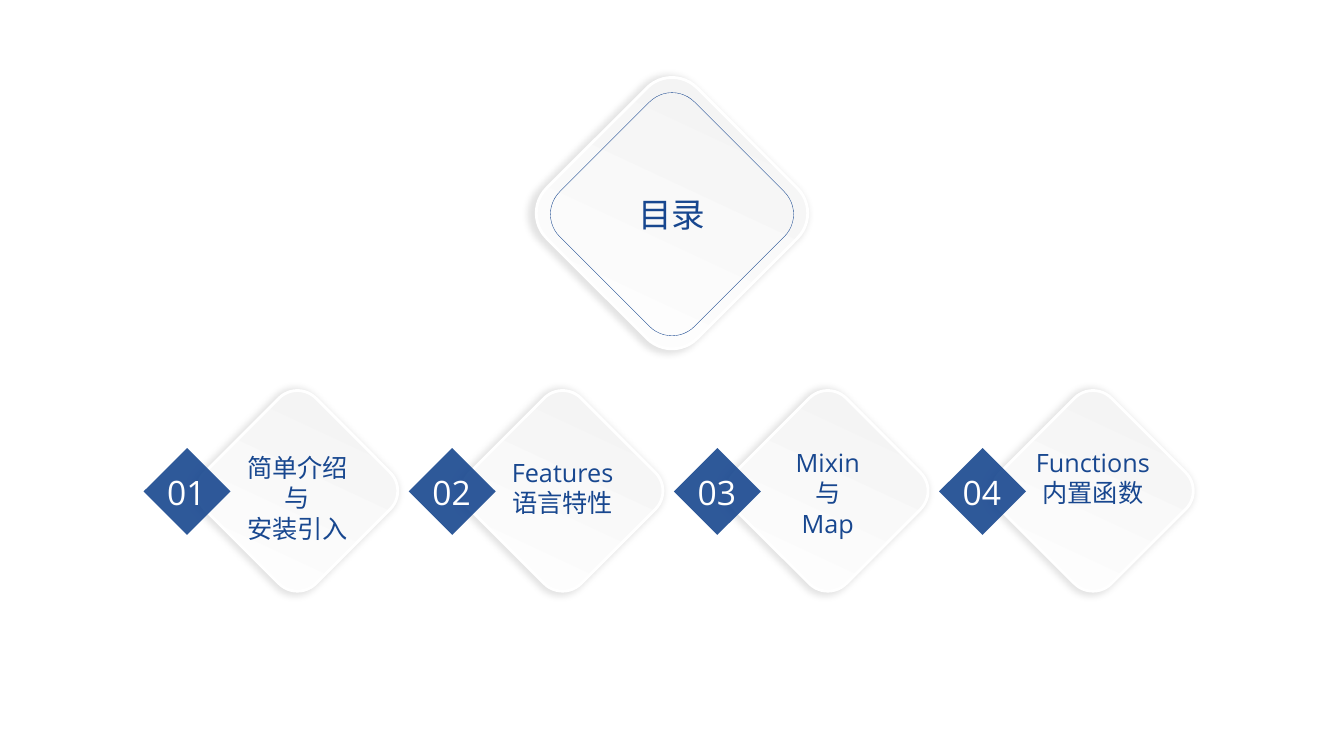
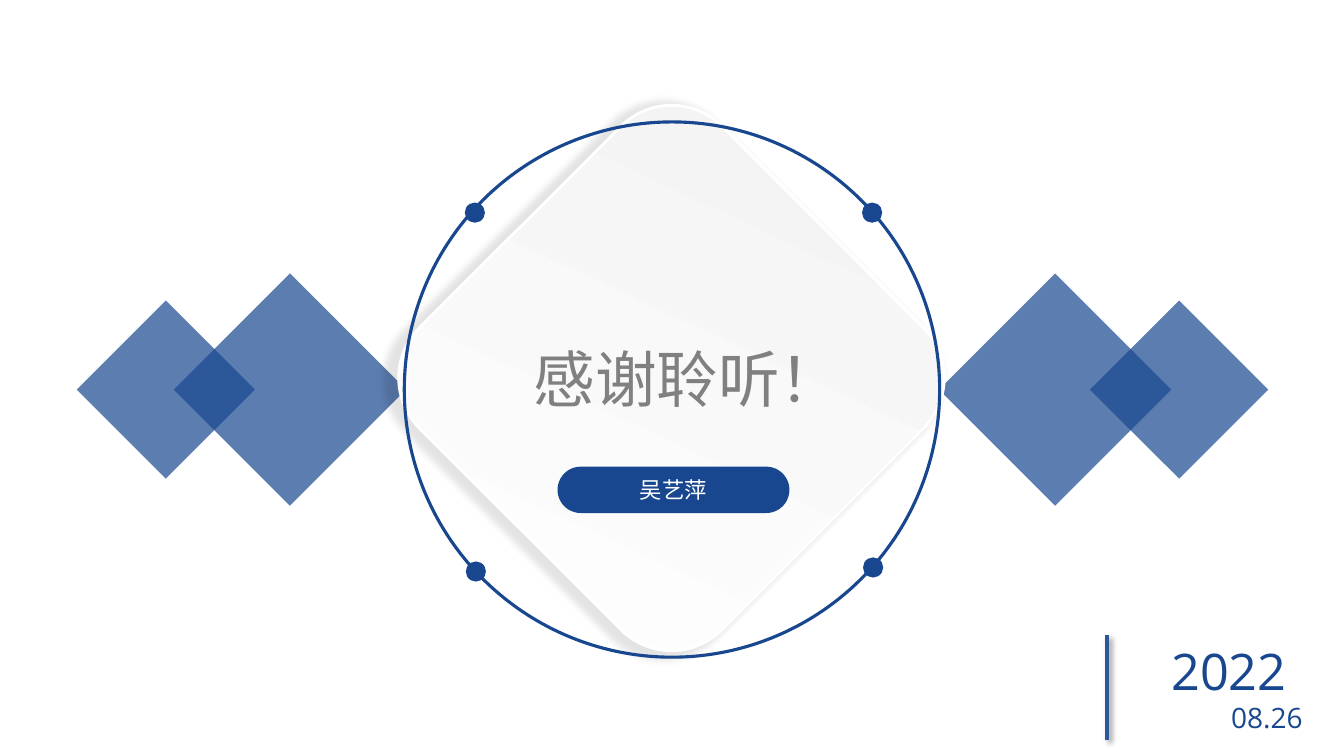
import pptx
import pptx.dml.color
import pptx.enum.shapes
import pptx.enum.text
import pptx.oxml
import pptx.oxml.ns
import pptx.util
from lxml import etree

Inches = pptx.util.Inches
Pt = pptx.util.Pt
RGBColor = pptx.dml.color.RGBColor
Shape = pptx.enum.shapes.MSO_SHAPE
Align = pptx.enum.text.PP_ALIGN
qn = pptx.oxml.ns.qn

NAVY = RGBColor(0x18, 0x47, 0x8F)
STEEL = RGBColor(0x2C, 0x57, 0x98)
GREY = RGBColor(0x80, 0x80, 0x80)
PALE = RGBColor(0xF2, 0xF2, 0xF2)
WHITE = RGBColor(0xFF, 0xFF, 0xFF)
LATIN, HAN = "Open Sans", "Noto Sans CJK SC"

WIDTH, HEIGHT = 13.33, 7.5
MID = 6.67

# Contents slide: number, label lines, top of label
TOPICS = [
    ("01", ["简单介绍", "与", "安装引入"], 4.44),
    ("02", ["Features", "语言特性"], 4.49),
    ("03", ["Mixin", "与", "Map"], 4.39),
    ("04", ["Functions", "内置函数"], 4.39),
]
FIRST, STEP = 2.17, 2.63
CARD, BADGE, LABEL = 1.56, 0.61, 1.95

# Closing slide: left, top, size
GEMS = [(2.06, 3.05, 1.63), (1.02, 3.24, 1.25)]
DOTS = [(4.61, 2.01), (8.56, 5.53), (4.62, 5.57), (8.55, 2.01)]


def add_part(slide, kind, left, top, width, height=None, fill=None,
             alpha=100, line=None, weight=1, turn=0):
    """Add a flat shape; without a height it is as high as wide."""
    shape = slide.shapes.add_shape(
        kind, Inches(left), Inches(top), Inches(width), Inches(height or width))
    shape.shadow.inherit = False
    shape.rotation = turn
    if fill is None:
        shape.fill.background()
    else:
        shape.fill.solid()
        shape.fill.fore_color.rgb = fill
        if alpha < 100:
            color = shape._element.spPr.find(".//" + qn("a:srgbClr"))
            etree.SubElement(color, qn("a:alpha"), val=str(alpha * 1000))
    if line is None:
        shape.line.fill.background()
    else:
        shape.line.color.rgb = line
        shape.line.width = Pt(weight)
    return shape


def cast_shade(shape, alpha, blur, **extra):
    props = shape._element.spPr
    effects = props.find(qn("a:effectLst"))
    if effects is None:
        effects = etree.SubElement(props, qn("a:effectLst"))
    shade = etree.SubElement(
        effects, qn("a:outerShdw"), blurRad=str(Pt(blur)), rotWithShape="0", **extra)
    color = etree.SubElement(shade, qn("a:srgbClr"), val="000000")
    etree.SubElement(color, qn("a:alpha"), val=str(alpha * 1000))


def add_card(slide, left, top, size):
    """Add a raised, round-cornered diamond with a soft gradient."""
    card = add_part(slide, Shape.ROUNDED_RECTANGLE, left, top, size,
                    line=WHITE, weight=2, turn=45)
    card.fill.gradient()
    card.fill.gradient_angle = 110
    for stop, color, place in zip(card.fill.gradient_stops, (WHITE, PALE), (0, 1)):
        stop.color.rgb = color
        stop.position = place
    cast_shade(card, 11, 5, sx="102000", sy="102000", algn="r")


def set_text(frame, lines, size, color, font=LATIN, align=Align.CENTER):
    frame.text = "\n".join(lines)
    for para in frame.paragraphs:
        para.alignment = align
        for run in para.runs:
            run.font.size = Pt(size)
            run.font.name = font
            run.font.color.rgb = color
            latin = run._r.rPr.find(qn("a:latin"))
            latin.addnext(latin.makeelement(qn("a:ea"), typeface=HAN))


def add_text(slide, left, top, width, height, lines, size, color,
             wrap=True, **style):
    box = slide.shapes.add_textbox(
        Inches(left), Inches(top), Inches(width), Inches(height))
    frame = box.text_frame
    frame.word_wrap = wrap
    frame.auto_size = pptx.enum.text.MSO_AUTO_SIZE.SHAPE_TO_FIT_TEXT
    set_text(frame, lines, size, color, **style)
    return frame


def build_contents(slide):
    add_card(slide, 5.61, 1.06, 2.11)
    add_part(slide, Shape.ROUNDED_RECTANGLE, 5.72, 1.18, 1.89,
             line=NAVY, weight=0.25, turn=45)
    add_text(slide, 5.41, 1.87, 2.51, 0.5, ["目录"], 24, NAVY, font=HAN)
    for i, (number, lines, top) in enumerate(TOPICS):
        left = FIRST + i * STEP
        add_card(slide, left, 4.09, CARD)
        add_part(slide, Shape.RECTANGLE, left - 0.62, 4.57, BADGE,
                 fill=NAVY, alpha=90, turn=225)
        add_text(slide, left + (CARD - LABEL) / 2, top, LABEL,
                 0.1 + 0.3 * len(lines), lines, 18, NAVY)
        add_text(slide, left - 0.61, 4.63, 0.59, 0.5, [number], 24, WHITE,
                 wrap=False, align=Align.LEFT)


def build_closing(slide):
    for left, top, size in GEMS:
        for side, turn in ((left, 45), (2 * MID - left - size, 225)):
            add_part(slide, Shape.RECTANGLE, side, top, size,
                     fill=NAVY, alpha=70, turn=turn)
    add_card(slide, 4.54, 1.63, 4.24)
    add_part(slide, Shape.OVAL, 4.01, 1.21, 5.31, line=NAVY, weight=2.25)
    add_text(slide, 4.88, 3.33, 3.88, 0.84, ["感谢聆听！"], 44, GREY)
    for left, top in DOTS:
        add_part(slide, Shape.OVAL, left, top, 0.2, fill=NAVY)

    pill = add_part(slide, Shape.ROUNDED_RECTANGLE, 5.53, 4.63, 2.3, 0.46, fill=NAVY)
    pill.adjustments[0] = 0.5
    pill.text_frame.vertical_anchor = pptx.enum.text.MSO_ANCHOR.MIDDLE
    set_text(pill.text_frame, ["吴艺萍"], 16, WHITE, font=HAN)

    date = add_text(slide, 11.29, 6.3, 1.8, 1.04, ["2022", "08.26"], 36, NAVY)
    date.margin_left = date.margin_right = Inches(0.17)
    day = date.paragraphs[1]
    day.alignment = Align.RIGHT
    day.runs[0].font.size = Pt(20)

    rule = slide.shapes.add_connector(
        pptx.enum.shapes.MSO_CONNECTOR.STRAIGHT,
        Inches(10.98), Inches(6.3), Inches(10.98), Inches(7.34))
    rule.line.color.rgb = STEEL
    rule.line.width = Pt(3)
    cast_shade(rule, 40, 4, dist=str(Pt(3)), dir="2700000", algn="tl")


def main():
    deck = pptx.Presentation()
    deck.slide_width = Inches(WIDTH)
    deck.slide_height = Inches(HEIGHT)
    for build in (build_contents, build_closing):
        build(deck.slides.add_slide(deck.slide_layouts[6]))
    deck.save("out.pptx")


if __name__ == "__main__":
    main()
